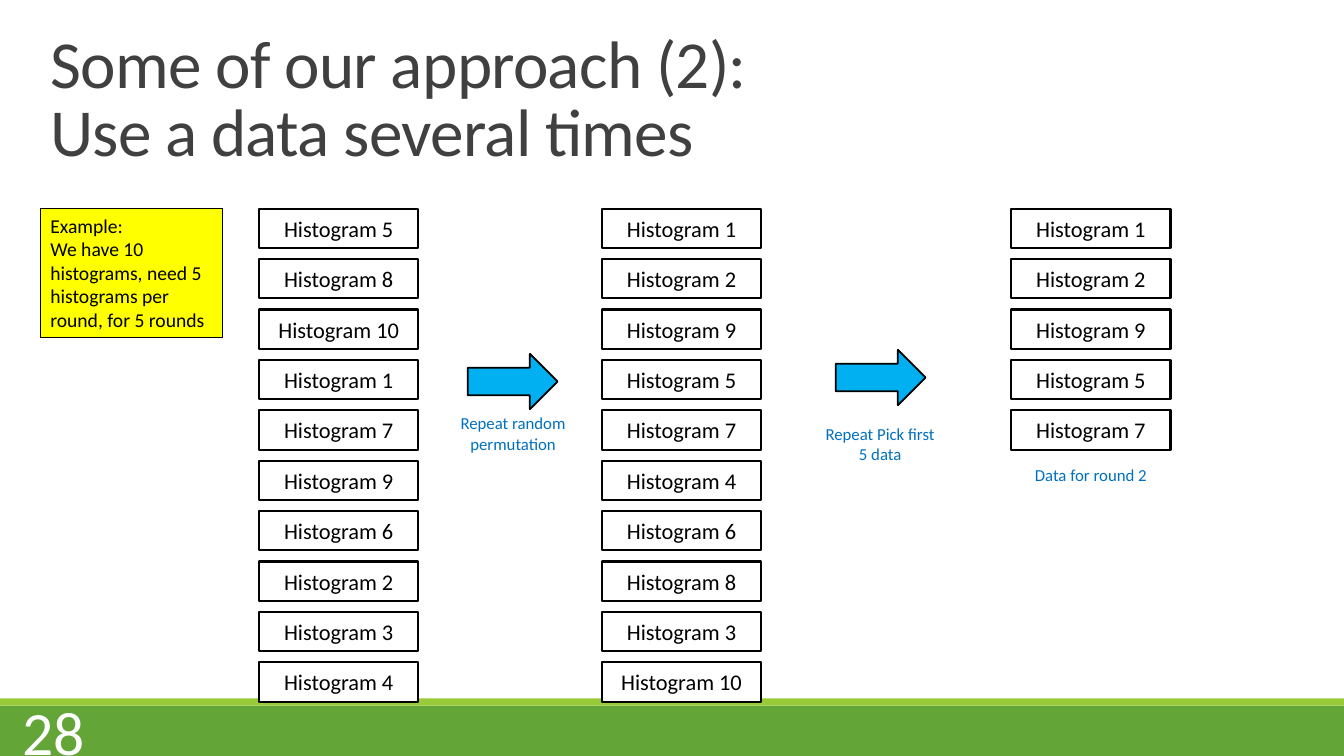
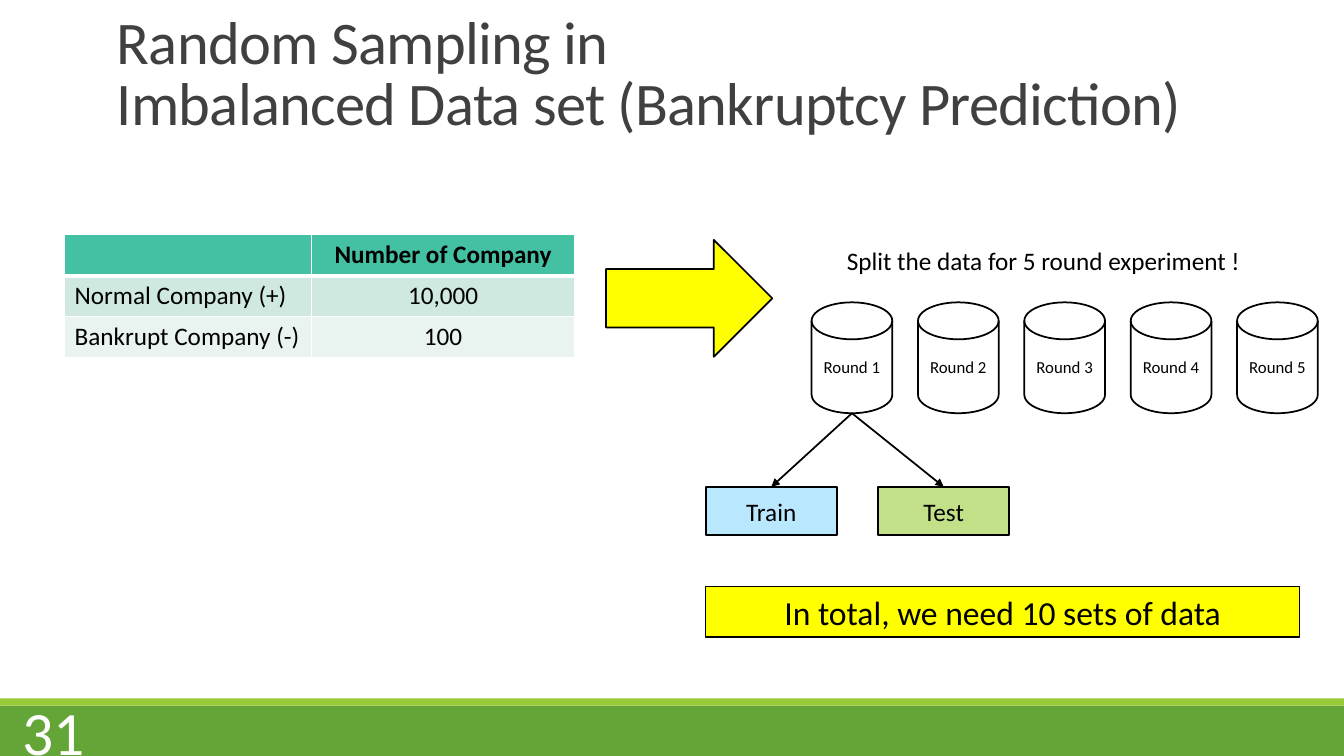
from collections import namedtuple
from dataclasses import dataclass

from lxml import etree
from pptx import Presentation
from pptx import util as u
from pptx.dml.color import RGBColor
from pptx.enum import shapes, text
from pptx.oxml import ns

Box = namedtuple("Box", "left top width height")
Shape = shapes.MSO_SHAPE
Align = text.PP_ALIGN
Anchor = text.MSO_ANCHOR


@dataclass(frozen=True)
class Theme:
    font: str = "Calibri"
    # Colours
    black: str = "000000"
    white: str = "FFFFFF"
    title: str = "404040"
    band: str = "63A537"
    band_edge: str = "99CB38"
    highlight: str = "FFFF00"
    step: str = "00B0F0"
    caption: str = "0070C0"
    train: str = "B9E7FD"
    test: str = "C2E088"
    table_rows: tuple = ("44C1A3", "CFE9E0", "E9F4F0")
    # Type sizes
    number_size: float = 44
    banner_size: float = 24
    body_size: float = 18
    item_size: float = 16
    note_size: float = 14
    small_size: float = 12
    # Line widths
    thin: float = 0.75
    note_line: float = 1
    line: float = 1.25
    item_line: float = 1.5


THEME = Theme()


# Basic parts

def inches(box):
    return [u.Inches(value) for value in box]


def rgb(color):
    return RGBColor.from_string(color)


def add_run(paragraph, words, size, color=THEME.black, bold=False):
    run = paragraph.add_run()
    run.text = words
    run.font.name = THEME.font
    run.font.size = u.Pt(size)
    run.font.bold = bold
    run.font.color.rgb = rgb(color)
    return run


def write(frame, lines, size, color=THEME.black, align=Align.CENTER,
          anchor=Anchor.TOP, wrap=True):
    frame.word_wrap = wrap
    frame.vertical_anchor = anchor
    for index, line in enumerate(lines):
        paragraph = frame.add_paragraph() if index else frame.paragraphs[0]
        paragraph.alignment = align
        add_run(paragraph, line, size, color)


def add_text(slide, box, words, size, color=THEME.black, **options):
    frame = slide.shapes.add_textbox(*inches(box)).text_frame
    write(frame, [words], size, color, **options)


def add_shape(slide, kind, box, fill, line=None):
    shape = slide.shapes.add_shape(kind, *inches(box))
    shape.shadow.inherit = False
    shape.fill.solid()
    shape.fill.fore_color.rgb = rgb(fill)
    if line is None:
        shape.line.fill.background()
    else:
        shape.line.color.rgb = rgb(THEME.black)
        shape.line.width = u.Pt(line)
    return shape


def add_label(slide, kind, box, words, size, fill=THEME.white, line=THEME.line):
    shape = add_shape(slide, kind, box, fill, line)
    write(shape.text_frame, [words], size, anchor=Anchor.MIDDLE)


def add_arrow_line(slide, start, end):
    connector = slide.shapes.add_connector(
        shapes.MSO_CONNECTOR.STRAIGHT, *inches(start + end))
    connector.line.color.rgb = rgb(THEME.black)
    connector.line.width = u.Pt(THEME.line)
    outline = connector.line._get_or_add_ln()
    etree.SubElement(outline, ns.qn("a:tailEnd"), type="triangle")
    etree.SubElement(connector._element.spPr, ns.qn("a:effectLst"))


# Shared frame: bands, title and slide number

def add_frame(presentation, title_box, title_lines, title_size, number):
    slide = presentation.slides.add_slide(presentation.slide_layouts[6])
    add_shape(slide, Shape.RECTANGLE, Box(0, 7, 13.33, 0.5), THEME.band)
    add_shape(slide, Shape.RECTANGLE, Box(0, 6.93, 13.33, 0.07), THEME.band_edge)

    frame = slide.shapes.add_textbox(*inches(title_box)).text_frame
    frame.word_wrap = True
    frame.vertical_anchor = Anchor.BOTTOM
    paragraph = frame.paragraphs[0]
    paragraph.line_spacing = 0.85
    for index, line in enumerate(title_lines):
        if index:
            paragraph.add_line_break()
        run = add_run(paragraph, line, title_size, THEME.title)
        run.font._element.set("spc", "-50")

    add_text(slide, Box(-0.49, 7.05, 1.43, 0.4), number, THEME.number_size,
             THEME.white, align=Align.RIGHT, anchor=Anchor.MIDDLE)
    return slide


# Regions of the data reuse slide

def add_example(slide, box):
    shape = add_shape(slide, Shape.RECTANGLE, box, THEME.highlight, THEME.note_line)
    lines = ["Example:",
             "We have 10 histograms, need 5 histograms per round, for 5 rounds"]
    write(shape.text_frame, lines, THEME.note_size, align=Align.LEFT)


def add_histograms(slide, left, top, order):
    pitch = 0.5
    for row, number in enumerate(order):
        add_label(slide, Shape.RECTANGLE, Box(left, top + row * pitch, 1.58, 0.39),
                  f"Histogram {number}", THEME.item_size, line=THEME.item_line)


def add_caption(slide, left, top, words, height=0.5):
    add_text(slide, Box(left, top, 1.36, height), words,
             THEME.small_size, THEME.caption)


def add_step(slide, box):
    add_shape(slide, Shape.RIGHT_ARROW, box, THEME.step, THEME.line)


def build_reuse_slide(presentation):
    slide = add_frame(presentation, Box(0.4, 0.15, 11, 1.59),
                      ["Some of our approach (2):", "Use a data several times"],
                      48, "28")
    top = 2.07
    permuted = [1, 2, 9, 5, 7, 4, 6, 8, 3, 10]
    add_example(slide, Box(0.4, top, 1.81, 1.28))
    add_histograms(slide, 2.57, top, [5, 8, 10, 1, 7, 9, 6, 2, 3, 4])
    add_step(slide, Box(4.64, 3.51, 0.89, 0.55))
    add_caption(slide, 4.41, 4.05, "Repeat random permutation")
    add_histograms(slide, 5.97, top, permuted)
    add_step(slide, Box(8.29, 3.47, 0.89, 0.55))
    add_caption(slide, 8.05, 4.15, "Repeat Pick first 5 data")
    add_histograms(slide, 10.03, top, permuted[:5])
    add_caption(slide, 10.14, 4.56, "Data for round 2", height=0.3)


# Regions of the sampling slide

def set_borders(cell, top=1, bottom=1):
    properties = cell._tc.get_or_add_tcPr()
    widths = {"lnL": 1, "lnR": 1, "lnT": top, "lnB": bottom}
    for index, (side, width) in enumerate(widths.items()):
        border = etree.Element(ns.qn(f"a:{side}"), w=str(u.Pt(width)))
        fill = etree.SubElement(border, ns.qn("a:solidFill"))
        etree.SubElement(fill, ns.qn("a:srgbClr"), val=THEME.white)
        properties.insert(index, border)


def add_company_table(slide, box):
    rows = [("", "Number of Company"),
            ("Normal Company (+)", "10,000"),
            ("Bankrupt Company (-)", "100")]
    table = slide.shapes.add_table(len(rows), 2, *inches(box)).table
    table.first_row = table.horz_banding = False
    first_width = 2.45
    table.columns[0].width = u.Inches(first_width)
    table.columns[1].width = u.Inches(box.width - first_width)
    for row, values in enumerate(rows):
        for column, value in enumerate(values):
            cell = table.cell(row, column)
            cell.fill.solid()
            cell.fill.fore_color.rgb = rgb(THEME.table_rows[row])
            set_borders(cell, top=3 if row == 1 else 1, bottom=3 if row == 0 else 1)
            paragraph = cell.text_frame.paragraphs[0]
            paragraph.alignment = Align.CENTER if column else Align.LEFT
            if value:
                add_run(paragraph, value, THEME.body_size, bold=row == 0)


def add_rounds(slide, box, count=5):
    width = 0.8
    pitch = (box.width - width) / (count - 1)
    for index in range(count):
        disk = Box(box.left + index * pitch, box.top, width, box.height)
        add_label(slide, Shape.FLOWCHART_MAGNETIC_DISK, disk,
                  f"Round {index + 1}", THEME.small_size)
    return box.left + width / 2, box.top + box.height


def add_split(slide, box, source):
    width = 1.3
    parts = [("Train", THEME.train, box.left),
             ("Test", THEME.test, box.left + box.width - width)]
    for words, fill, left in parts:
        add_label(slide, Shape.RECTANGLE, Box(left, box.top, width, box.height),
                  words, THEME.body_size, fill)
        add_arrow_line(slide, source, (left + width / 2, box.top))


def add_conclusion(slide, box):
    shape = add_shape(slide, Shape.RECTANGLE, box, THEME.highlight, THEME.thin)
    write(shape.text_frame, ["In total, we need 10 sets of data"], THEME.banner_size)


def build_sampling_slide(presentation):
    slide = add_frame(presentation, Box(1.06, 0.12, 11, 1.3),
                      ["Random Sampling in",
                       "Imbalanced Data set (Bankruptcy Prediction)"], 43.2, "31")
    add_company_table(slide, Box(0.64, 2.33, 5.06, 1.22))
    add_shape(slide, Shape.RIGHT_ARROW, Box(6.01, 2.38, 1.65, 1.16),
              THEME.highlight, THEME.line)
    add_text(slide, Box(8.3, 2.38, 4.15, 0.4),
             "Split the data for 5 round experiment !", THEME.body_size,
             align=Align.LEFT, wrap=False)
    source = add_rounds(slide, Box(8.05, 3, 5.02, 1.1))
    add_split(slide, Box(7, 4.83, 3.01, 0.48), source)
    add_conclusion(slide, Box(7, 5.82, 5.89, 0.5))


def main():
    presentation = Presentation()
    presentation.slide_width = u.Inches(13.33)
    presentation.slide_height = u.Inches(7.5)
    build_reuse_slide(presentation)
    build_sampling_slide(presentation)
    presentation.save("out.pptx")


if __name__ == "__main__":
    main()
